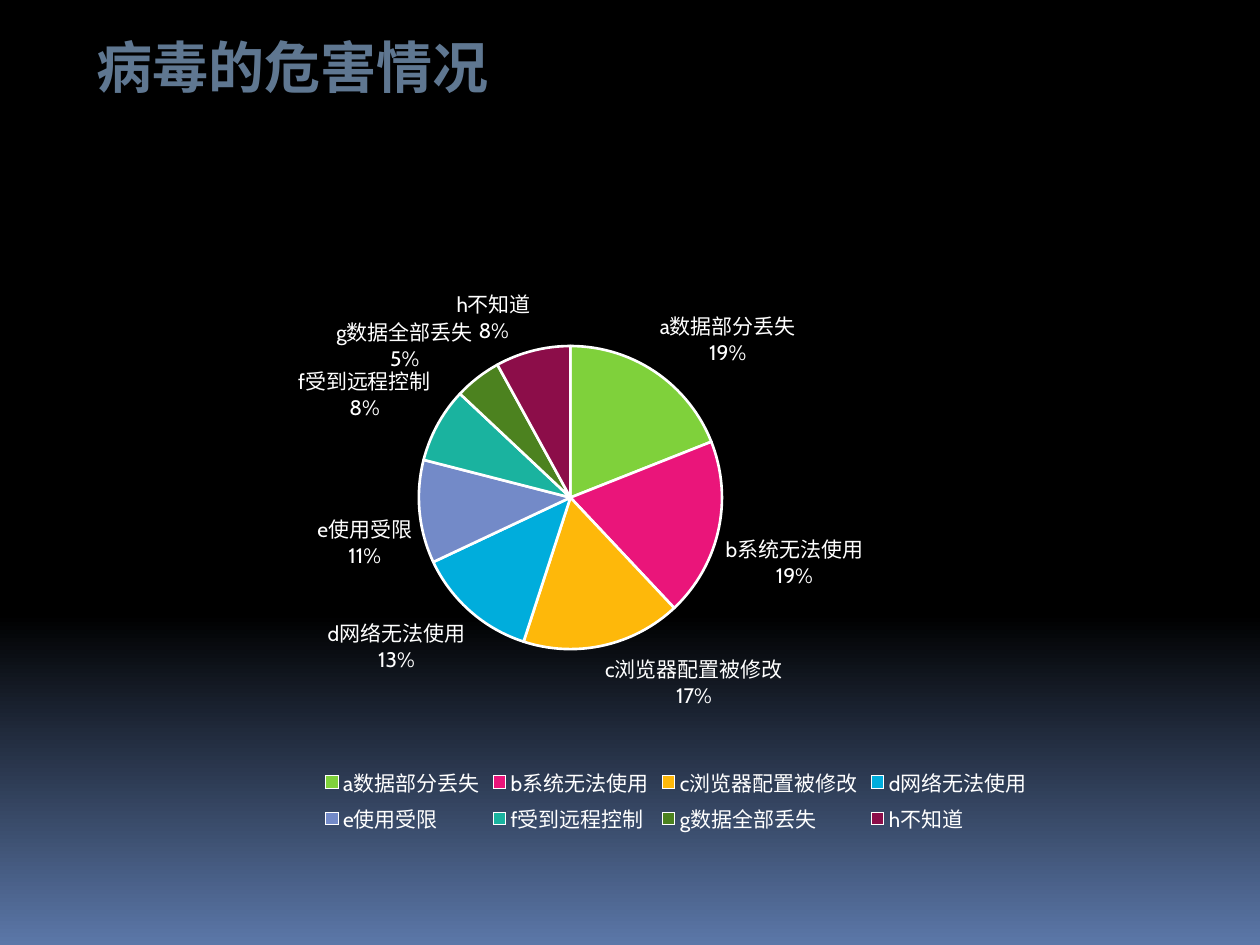
from lxml import etree
from pptx import Presentation
from pptx import util as u
from pptx.chart.data import CategoryChartData
from pptx.dml.color import RGBColor
from pptx.enum import chart as charts, text
from pptx.oxml import ns

HARMS = [
    ("a数据部分丢失", 19, "7FD13B"),
    ("b系统无法使用", 19, "EA157A"),
    ("c浏览器配置被修改", 17, "FEB80A"),
    ("d网络无法使用", 13, "00ADDC"),
    ("e使用受限", 11, "738AC8"),
    ("f受到远程控制", 8, "1AB39F"),
    ("g数据全部丢失", 5, "4C821F"),
    ("h不知道", 8, "8C0D49"),
]


def color(value):
    return RGBColor.from_string(value)


def assign(target, **values):
    for name, value in values.items():
        setattr(target, name, value)


class SlideBuilder:
    """Draws styled elements on one slide."""

    title_font = "Noto Sans CJK JP"
    chart_font = "Cabin"
    white = "FFFFFF"

    def __init__(self, presentation):
        self.slide = presentation.slides.add_slide(presentation.slide_layouts[6])

    def background(self, top, bottom, start):
        fill = self.slide.background.fill
        fill.gradient()
        fill.gradient_angle = 270
        for stop, value, position in zip(fill.gradient_stops, (top, bottom), (start, 1)):
            stop.color.rgb = color(value)
            stop.position = position

    def title(self, content, box):
        shape = self.slide.shapes.add_textbox(*map(u.Cm, box))
        assign(shape.text_frame, word_wrap=True, auto_size=text.MSO_AUTO_SIZE.SHAPE_TO_FIT_TEXT)
        run = shape.text_frame.paragraphs[0].add_run()
        run.text = content
        assign(run.font, name=self.title_font, size=u.Pt(32), bold=True)
        run.font.color.rgb = color("5F7791")
        east_asian = etree.SubElement(run.font._element, ns.qn("a:ea"))
        east_asian.set("typeface", self.title_font)

    def chart_text(self, font, size):
        assign(font, name=self.chart_font, size=u.Pt(size))
        font.color.rgb = color(self.white)

    def pie(self, rows, box, plot_area):
        data = CategoryChartData()
        data.categories = [label for label, _, _ in rows]
        data.add_series("Series 1", [value for _, value, _ in rows])
        frame = self.slide.shapes.add_chart(charts.XL_CHART_TYPE.PIE, *map(u.Cm, box), data)
        chart = frame.chart
        assign(chart, has_title=False, has_legend=True)
        self.chart_text(chart.font, 10)
        assign(chart.legend, position=charts.XL_LEGEND_POSITION.BOTTOM, include_in_layout=False)
        self.chart_text(chart.legend.font, 12)
        chart.plots[0].vary_by_categories = True
        series = chart.plots[0].series[0]
        for index, (_, _, value) in enumerate(rows):
            style = series.points[index].format
            style.fill.solid()
            style.fill.fore_color.rgb = color(value)
            style.line.color.rgb = color(self.white)
            style.line.width = u.Pt(1.5)
        self.labels(series.data_labels)
        self.place_plot(chart, plot_area)

    def labels(self, labels):
        assign(labels, show_value=False, show_category_name=True, show_percentage=True,
               number_format="0%", number_format_is_linked=False,
               position=charts.XL_LABEL_POSITION.OUTSIDE_END)
        self.chart_text(labels.font, 12)
        separator = etree.Element(ns.qn("c:separator"))
        separator.text = "\n"
        labels._element.find(ns.qn("c:showBubbleSize")).addnext(separator)

    def place_plot(self, chart, plot_area):
        area = chart._chartSpace.find(".//" + ns.qn("c:plotArea"))
        layout = area.find(ns.qn("c:layout"))
        if layout is None:
            layout = etree.Element(ns.qn("c:layout"))
            area.insert(0, layout)
        manual = etree.SubElement(layout, ns.qn("c:manualLayout"))
        settings = [("layoutTarget", "inner"), ("xMode", "edge"), ("yMode", "edge")]
        settings += zip("xywh", map(str, plot_area))
        for name, value in settings:
            etree.SubElement(manual, ns.qn("c:" + name)).set("val", value)


presentation = Presentation()
assign(presentation, slide_width=u.Cm(25.4), slide_height=u.Cm(19.05))
builder = SlideBuilder(presentation)
builder.background("000000", "5B77A8", 0.65)
builder.title("病毒的危害情况", (1.7, 0.53, 8.69, 1.6))
builder.pie(HARMS, (4.37, 3.28, 18.52, 13.64), (0.22, 0.25, 0.33, 0.49))
presentation.save("out.pptx")
